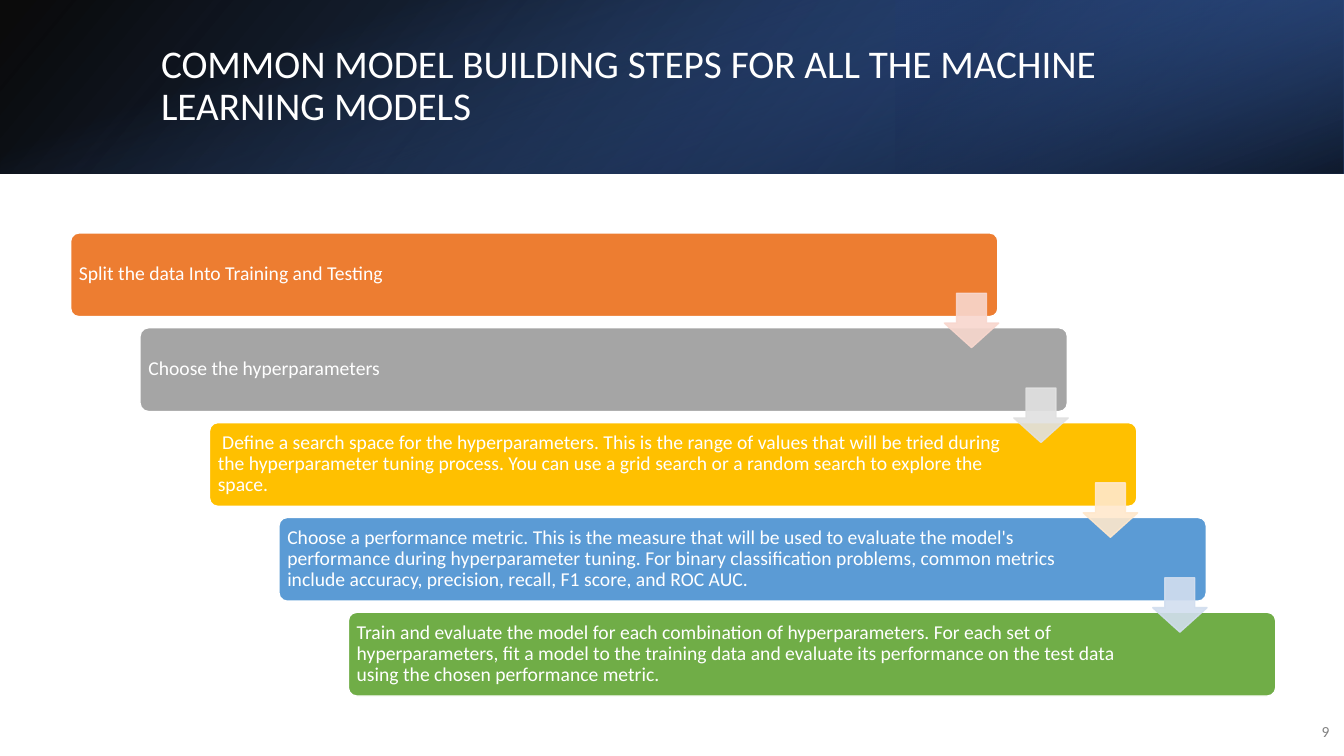
from pptx import Presentation
from pptx.dml.color import RGBColor
from pptx.enum.shapes import MSO_SHAPE
from pptx.enum.text import MSO_ANCHOR, PP_ALIGN
from pptx.oxml.ns import qn
from pptx.util import Cm, Pt
from lxml.etree import SubElement

INK = {
    "white": "FFFFFF", "black": "000000", "gray": "808080",
    "deep": "2F5597", "navy": "203864", "blue": "4472C4",
}

# Bar colour, colour of the arrow that leaves it, wording
STEPS = [
    ("ED7D31", "F8D7CE", "Split the data Into Training and Testing"),
    ("A5A5A5", "E1E1E1", "Choose the hyperparameters"),
    ("FFC000", "FFE8CC",
     " Define a search space for the hyperparameters. This is the range of "
     "values that will be tried during the hyperparameter tuning process. "
     "You can use a grid search or a random search to explore the space."),
    ("5B9BD5", "D2DEEF",
     "Choose a performance metric. This is the measure that will be used to "
     "evaluate the model's performance during hyperparameter tuning. For "
     "binary classification problems, common metrics include accuracy, "
     "precision, recall, F1 score, and ROC AUC."),
    ("70AD47", None,
     "Train and evaluate the model for each combination of hyperparameters. "
     "For each set of hyperparameters, fit a model to the training data and "
     "evaluate its performance on the test data using the chosen "
     "performance metric."),
]

WIDE, HIGH = 33.87, 19.05
BAND = 4.37
LEFT, TOP = 1.78, 5.87
DX, DY = 1.75, 2.39


def fade(color, alpha):
    """Set the opacity, in percent, of each RGB colour below an element."""
    for node in color.iter(qn("a:srgbClr")):
        SubElement(node, qn("a:alpha")).set("val", str(alpha * 1000))


class Deck:
    font = "Calibri"

    def __init__(self):
        self.file = Presentation()
        self.file.slide_width, self.file.slide_height = Cm(WIDE), Cm(HIGH)
        self.slide = self.file.slides.add_slide(self.file.slide_layouts[6])

    def shape(self, kind, box, adjust=()):
        item = self.slide.shapes.add_shape(kind, *map(Cm, box))
        item.shadow.inherit = False
        for i, value in enumerate(adjust):
            item.adjustments[i] = value
        return item

    def block(self, kind, box, color, adjust, line=None, alpha=None):
        """Add a shape with a plain fill and a thin outline."""
        item = self.shape(kind, box, adjust)
        item.fill.solid()
        item.fill.fore_color.rgb = RGBColor.from_string(color)
        item.line.color.rgb = RGBColor.from_string(line or color)
        item.line.width = Pt(1)
        if alpha:
            fade(item._element.spPr, alpha)

    def blend(self, box, stops, angle, turn=0, flip=False):
        """Add a rectangle with a gradient of (percent, colour, opacity)."""
        item = self.shape(MSO_SHAPE.RECTANGLE, box)
        item.line.fill.background()
        item.rotation = turn
        if flip:
            item._element.spPr.find(qn("a:xfrm")).set("flipH", "1")
        item.fill.gradient()
        item.fill.gradient_angle = 360 - angle
        for stop, (place, color, alpha) in zip(item.fill.gradient_stops, stops):
            stop.position = place / 100
            stop.color.rgb = RGBColor.from_string(INK[color])
            fade(stop._gs, alpha)

    def text(self, words, box, size, color="white", align=PP_ALIGN.LEFT,
             pad=None, space=0.9, after=0):
        frame = self.slide.shapes.add_textbox(*map(Cm, box)).text_frame
        frame.word_wrap = True
        frame.vertical_anchor = MSO_ANCHOR.MIDDLE
        if pad is not None:
            frame.margin_left = frame.margin_right = Cm(pad)
            frame.margin_top = frame.margin_bottom = Cm(pad)
        para = frame.paragraphs[0]
        para.alignment = align
        para.line_spacing = space
        para.space_after = Pt(after)
        run = para.add_run()
        run.text = words
        run.font.name = self.font
        run.font.size = Pt(size)
        run.font.color.rgb = RGBColor.from_string(INK[color])


def banner(deck):
    deck.blend((0, 0, WIDE, BAND),
               [(0, "black", 96), (100, "deep", 100)], 140, flip=True)
    deck.blend((22.58, 0, WIDE - 22.58, BAND),
               [(19, "navy", 68), (100, "blue", 79)], 320, turn=180, flip=True)
    # Turned on its side, this one covers the whole band
    deck.blend(((WIDE - BAND) / 2, (BAND - WIDE) / 2, BAND, WIDE),
               [(23, "blue", 0), (99, "black", 74)], 340, turn=90)
    deck.text("COMMON MODEL BUILDING STEPS FOR ALL THE MACHINE LEARNING MODELS",
              (3.81, 0.97, 27.89, 2.44), 28)


def stairs(deck):
    for i, (color, _, words) in enumerate(STEPS):
        x, y = LEFT + i * DX, TOP + i * DY
        deck.block(MSO_SHAPE.ROUNDED_RECTANGLE, (x, y, 23.37, 2.11),
                   color, [0.1], line=INK["white"])
        width = 20.14 if i else 20.85
        deck.text(words, (x + 0.06, y + 0.06, width, 1.98), 14, pad=0.15)
    for i, (_, color, _) in enumerate(STEPS[:-1]):
        deck.block(MSO_SHAPE.DOWN_ARROW,
                   (LEFT + 22.02 + i * DX, TOP + 1.52 + i * DY, 1.37, 1.37),
                   color, [0.55, 0.45], alpha=90)


def main():
    deck = Deck()
    banner(deck)
    deck.text("9", (32.51, 17.93, 1.24, 1.02), 11, color="gray",
              align=PP_ALIGN.RIGHT, space=1.0, after=6)
    stairs(deck)
    deck.file.save("out.pptx")


if __name__ == "__main__":
    main()
